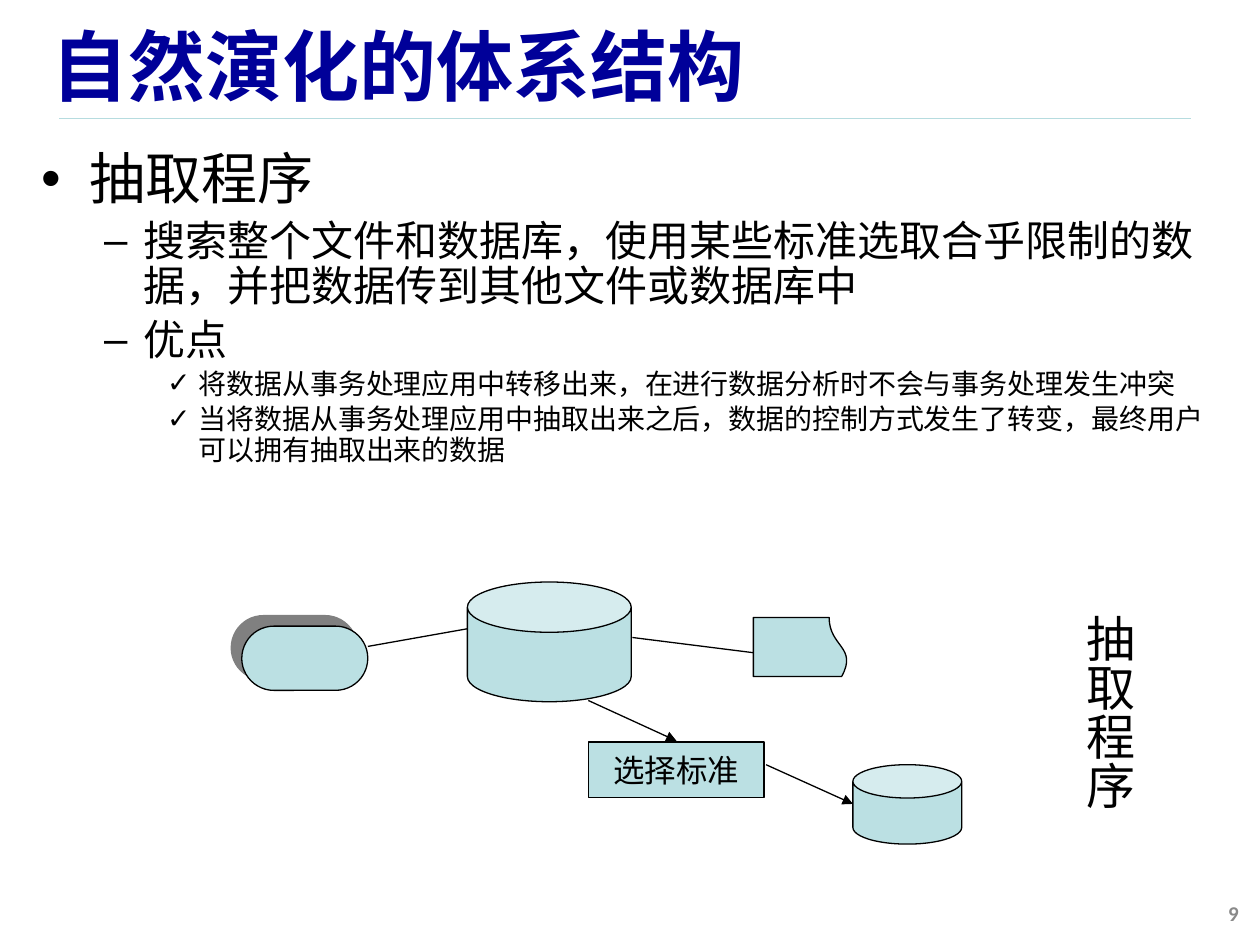
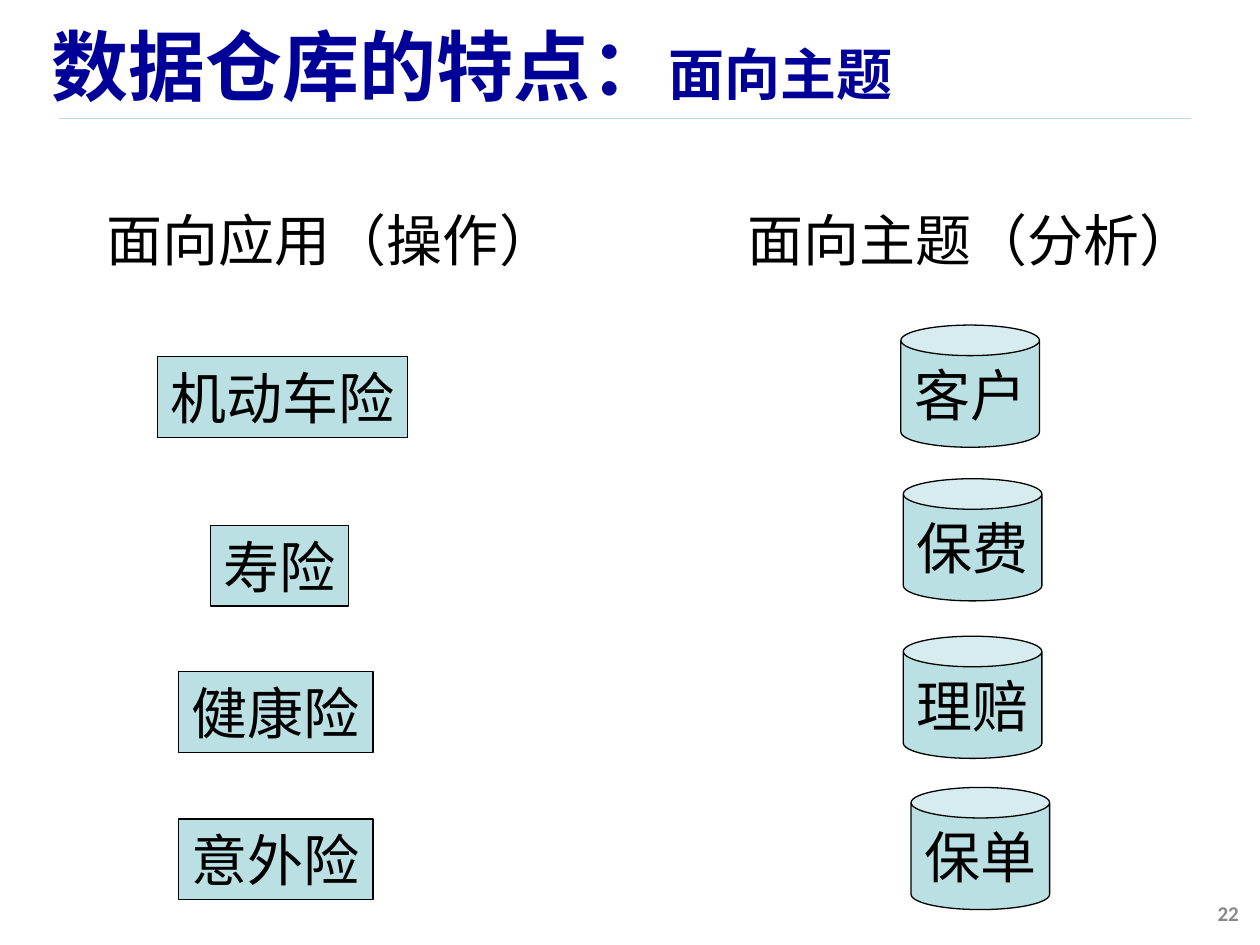
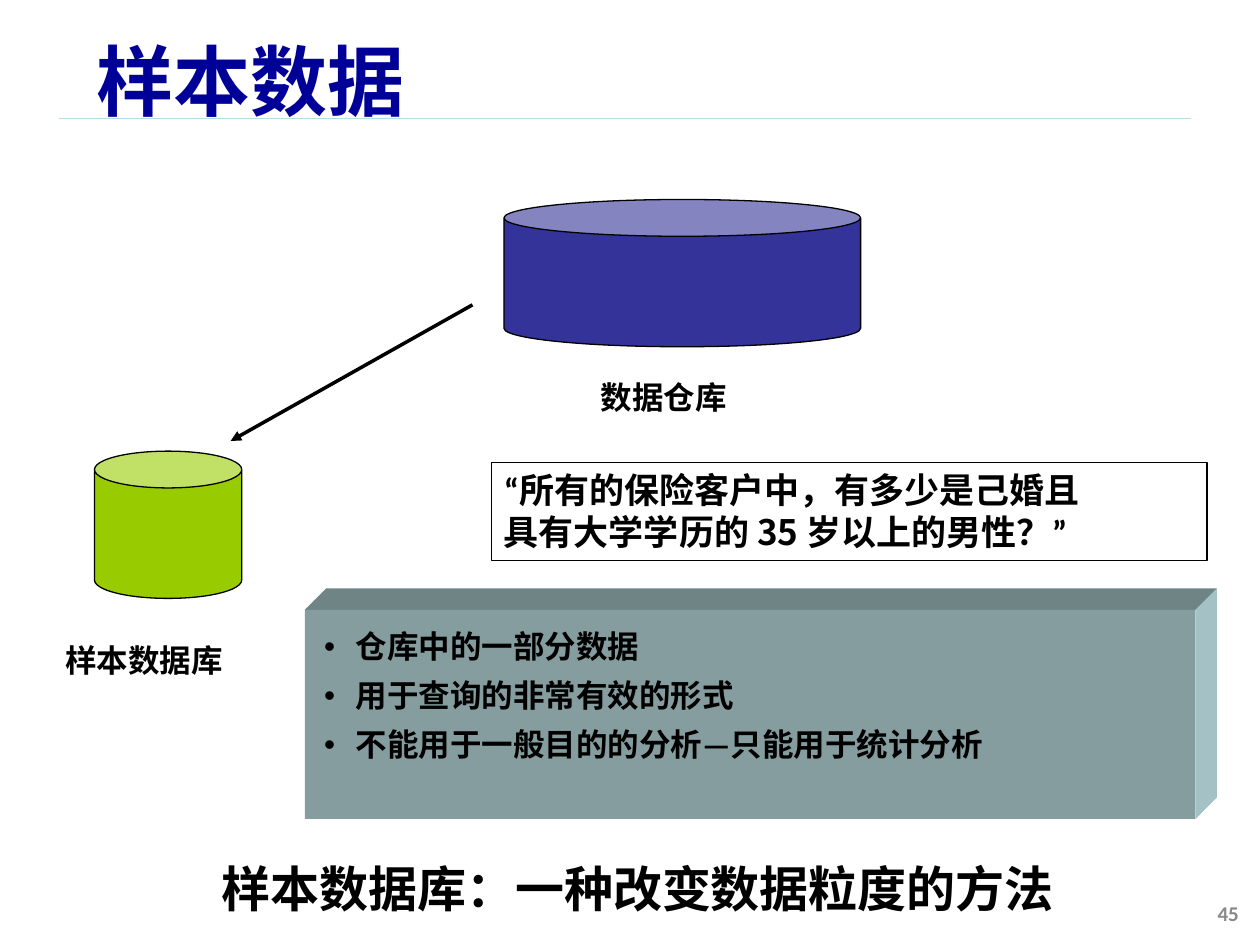
import pptx
import pptx.util
import pptx.dml.color
import pptx.enum.shapes
import pptx.enum.text
import pptx.oxml.ns
import lxml.etree

Pt = pptx.util.Pt
KIND = pptx.enum.shapes.MSO_SHAPE
ALIGN = pptx.enum.text.PP_ALIGN
ANCHOR = pptx.enum.text.MSO_ANCHOR
SANS = "Noto Sans CJK SC"
HEAD = (22.3, 5.8, 658, 62.6)
INK = {
    "title": "000099", "rule": "B6DCDF", "text": "000000", "page": "898989",
    "pale": "BBE0E3", "shade": "808080", "store": "333399", "sample": "99CC00",
    "front": "859D9F", "top": "6F8485", "side": "A4C2C5",
}
LEVELS = [("•", 32, 27.4, -27.4), ("–", 24, 58.3, -22.3), ("✓", 16, 90, -18)]


def tint(name):
    return pptx.dml.color.RGBColor.from_string(INK[name])


def add(parent, tag, **attrs):
    return lxml.etree.SubElement(parent, pptx.oxml.ns.qn(tag), attrs)


def style(run, size, font="Arial", bold=False, ink="text"):
    run.font.size = Pt(size)
    run.font.name = font
    run.font.bold = bold
    run.font.color.rgb = tint(ink)
    props = run._r.get_or_add_rPr()
    props.set("lang", "zh-CN")
    add(props, "a:ea", typeface="Calibri")


def bullet(para, char, left, hang):
    props = para._p.get_or_add_pPr()
    props.set("marL", str(Pt(left)))
    props.set("indent", str(Pt(hang)))
    add(props, "a:buFont", typeface="Arial")
    add(props, "a:buChar", char=char)


def write(frame, text, size, align=ALIGN.LEFT, anchor=ANCHOR.TOP, wrap=True, **look):
    frame.text = text
    frame.word_wrap = wrap
    frame.vertical_anchor = anchor
    for para in frame.paragraphs:
        para.alignment = align
        for run in para.runs:
            style(run, size, **look)


def label(slide, text, box, size, **look):
    item = slide.shapes.add_textbox(*map(Pt, box))
    write(item.text_frame, text, size, **look)
    return item


def paint(item, fill, line="text"):
    item.shadow.inherit = False
    if fill:
        item.fill.solid()
        item.fill.fore_color.rgb = tint(fill)
    else:
        item.fill.background()
    if line:
        item.line.color.rgb = tint(line)
        item.line.width = Pt(0.75)
    else:
        item.line.fill.background()


def shape(slide, kind, box, fill="pale", line="text", text="", size=32, font=SANS):
    item = slide.shapes.add_shape(kind, *map(Pt, box))
    paint(item, fill, line)
    if text:
        write(item.text_frame, text, size, ALIGN.CENTER, ANCHOR.MIDDLE, False, font=font)
    return item


def can(slide, box, fill="pale", bend=0.25, text=""):
    item = shape(slide, KIND.CAN, box, fill, text=text)
    item.adjustments[0] = bend


def link(slide, start, end, ink="text", width=0.75, arrow=False):
    kind = pptx.enum.shapes.MSO_CONNECTOR.STRAIGHT
    item = slide.shapes.add_connector(kind, *map(Pt, start + end))
    item.line.color.rgb = tint(ink)
    item.line.width = Pt(width)
    if arrow:
        add(item.line._get_or_add_ln(), "a:tailEnd", type="triangle")
    add(item._element.spPr, "a:effectLst")


def face(slide, points, fill):
    builder = slide.shapes.build_freeform(*map(Pt, points[0]))
    builder.add_line_segments([tuple(map(Pt, point)) for point in points[1:]])
    paint(builder.convert_to_shape(), fill, None)


def block(slide, left, top, width, height, depth):
    right, base = left + width, top + height
    face(slide, [(left, top), (left + depth, top - depth),
                 (right + depth, top - depth), (right, top)], "top")
    face(slide, [(right, top), (right + depth, top - depth),
                 (right + depth, base - depth), (right, base)], "side")
    return shape(slide, KIND.RECTANGLE, (left, top, width, height), "front", None)


def cast(item):
    effects = item._element.spPr.find(pptx.oxml.ns.qn("a:effectLst"))
    shadow = add(effects, "a:outerShdw", dist=str(Pt(8.5)), dir="13500000",
                 algn="ctr", rotWithShape="0")
    add(shadow, "a:srgbClr", val=INK["shade"])


def start(deck, text, page, box=HEAD, sub=""):
    slide = deck.slides.add_slide(deck.slide_layouts[5])
    link(slide, (33.8, 67.7), (680.4, 67.7), "rule")
    title = slide.shapes.title
    title.left, title.top, title.width, title.height = map(Pt, box)
    frame = title.text_frame
    frame.auto_size = pptx.enum.text.MSO_AUTO_SIZE.NONE
    write(frame, text, 44, anchor=ANCHOR.MIDDLE, bold=True, ink="title")
    if sub:
        run = frame.paragraphs[0].add_run()
        run.text = sub
        style(run, 32, bold=True, ink="title")
    label(slide, page, (547.2, 507.6, 167.8, 28.8), 12, align=ALIGN.RIGHT,
          anchor=ANCHOR.MIDDLE, font="Calibri", bold=True, ink="page")
    return slide


def outline(slide, box, items):
    frame = slide.shapes.add_textbox(*map(Pt, box)).text_frame
    frame.word_wrap = True
    frame.text = "\n".join(text for _, text in items)
    for i, (para, (level, _)) in enumerate(zip(frame.paragraphs, items)):
        char, size, left, hang = LEVELS[level]
        para.level = level
        para.line_spacing = 0.9
        if i:
            para.space_before = Pt(size * 0.2)
        bullet(para, char, left, hang)
        style(para.runs[0], size, "Noto Sans Mono")


def extract(deck):
    slide = start(deck, "自然演化的体系结构", "9")
    outline(slide, (16.5, 82.8, 687, 219), [
        (0, "抽取程序"),
        (1, "搜索整个文件和数据库，使用某些标准选取合乎限制的数据，并把数据传到其他文件或数据库中"),
        (1, "优点"),
        (2, "将数据从事务处理应用中转移出来，在进行数据分析时不会与事务处理发生冲突"),
        (2, "当将数据从事务处理应用中抽取出来之后，数据的控制方式发生了转变，最终用户可以拥有抽取出来的数据"),
    ])
    pill = shape(slide, KIND.ROUNDED_RECTANGLE, (138.2, 357.8, 72, 36.7))
    pill.adjustments[0] = 0.5
    cast(pill)
    can(slide, (267.1, 332.6, 93.6, 68.4), bend=0.42)
    paper = shape(slide, KIND.FLOWCHART_DOCUMENT, (440.6, 342.7, 33.8, 54))
    paper.rotation = 270
    link(slide, (210.2, 369.4), (267.1, 359.3))
    link(slide, (361.4, 364.3), (430.6, 373))
    link(slide, (336.2, 400.3), (386.6, 423.4), arrow=True)
    shape(slide, KIND.RECTANGLE, (336.2, 424.1, 100.4, 31.7),
          text="选择标准", size=18, font="Arial")
    link(slide, (437.8, 437), (487.4, 459.4), arrow=True)
    can(slide, (487.4, 437, 62.2, 45.4), bend=0.42)
    side = label(slide, "抽取程序", (606.2, 344.2, 48.2, 131.8), 28)
    side.text_frame._txBody.bodyPr.set("vert", "eaVert")


def themes(deck):
    slide = start(deck, "数据仓库的特点：", "22", sub="面向主题")
    for text, left in [("面向应用（操作）", 54), ("面向主题（分析）", 420)]:
        label(slide, text, (left, 113.8, 272, 45.4), 32, font=SANS)
    for text, left, top in [("机动车险", 90, 203.8), ("寿险", 120.2, 300.2),
                            ("健康险", 102.2, 383.8), ("意外险", 102.2, 468)]:
        width = 32 * len(text) + 15
        shape(slide, KIND.RECTANGLE, (left, top, width, 46.1), text=text)
    for text, left, top in [("客户", 514.8, 185.8), ("保费", 516.2, 273.6),
                            ("理赔", 516.2, 363.6), ("保单", 520.6, 450)]:
        can(slide, (left, top, 79.2, 69.8), text=text)


def sample(deck):
    slide = start(deck, "样本数据", "45", (48.2, 12.2, 632.2, 67))
    can(slide, (288, 114, 203.8, 84.2), "store")
    can(slide, (54, 257.8, 84.2, 84.2), "sample")
    link(slide, (270, 174.2), (131.8, 252), width=2, arrow=True)
    label(slide, "样本数据库", (30.2, 362.9, 134.6, 36), 18,
          font="Noto Sans CJK JP", bold=True)
    label(slide, "数据仓库", (336.2, 212.4, 110.2, 36), 18, bold=True)
    facts = block(slide, 174.2, 348.5, 509, 119.5, 12.2).text_frame
    write(facts, "仓库中的一部分数据\n用于查询的非常有效的形式\n不能用于一般目的的分析—只能用于统计分析",
          18, font="Noto Sans CJK JP", bold=True)
    for para in facts.paragraphs:
        para.line_spacing = Pt(28)
        bullet(para, "•", 22, -18)
    quote = shape(slide, KIND.RECTANGLE, (280.8, 264.2, 409, 56.2), None).text_frame
    write(quote, "“所有的保险客户中，有多少是己婚且\n具有大学学历的 35 岁以上的男性？”",
          20, font=SANS, bold=True)
    for para in quote.paragraphs:
        para.line_spacing = Pt(24)
    label(slide, "样本数据库：一种改变数据粒度的方法", (48.2, 486, 632.2, 41.8), 28,
          align=ALIGN.CENTER, anchor=ANCHOR.BOTTOM, bold=True)


def main():
    deck = pptx.Presentation()
    deck.slide_width, deck.slide_height = Pt(720), Pt(540)
    extract(deck)
    themes(deck)
    sample(deck)
    deck.save("out.pptx")


if __name__ == "__main__":
    main()
